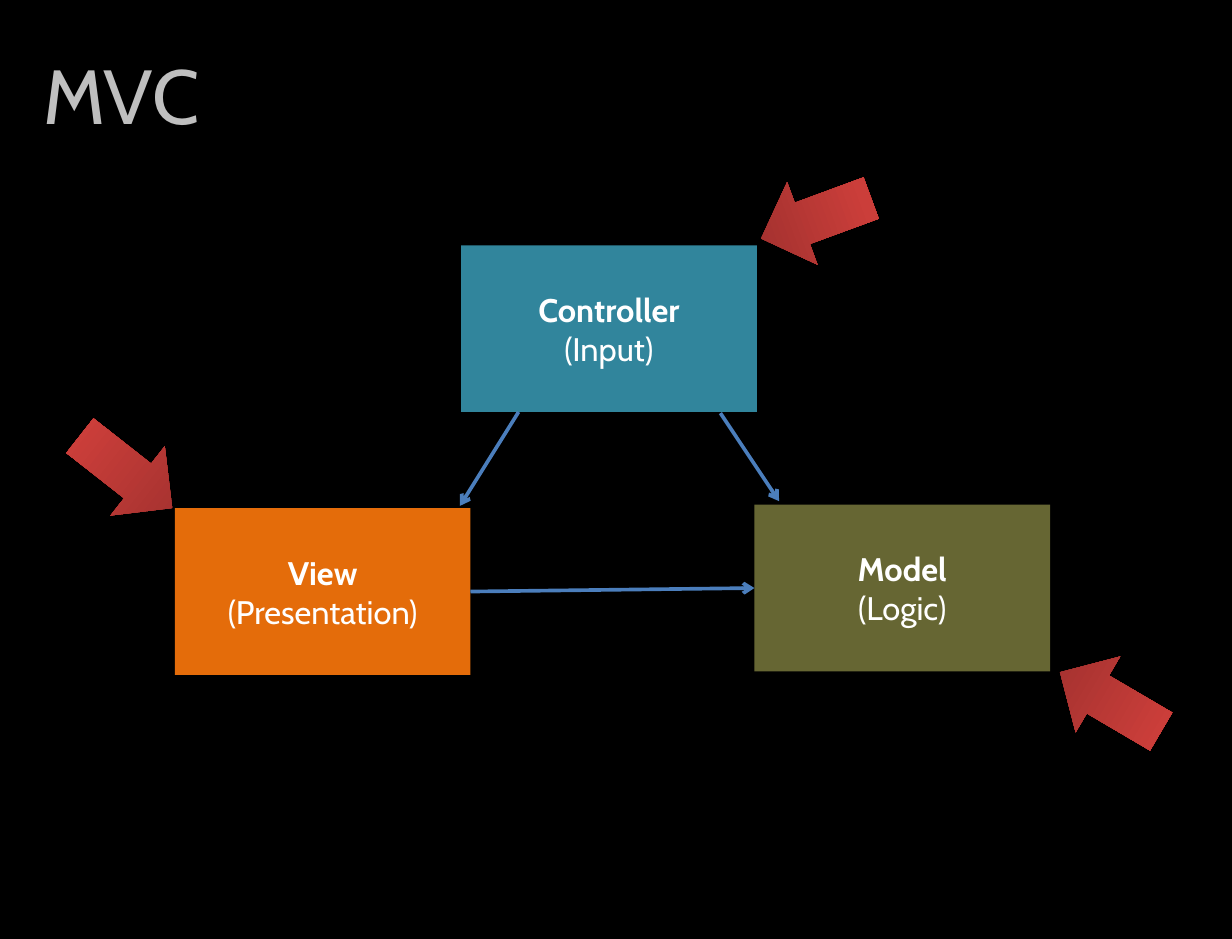
import dataclasses
import typing

import pptx
import pptx.dml.color
import pptx.enum.shapes
import pptx.enum.text
import pptx.oxml
import pptx.oxml.ns
import pptx.util
from pptx.util import Inches


@dataclasses.dataclass(frozen=True)
class Theme:
    font: str = "Cabin"
    background: str = "000000"
    title: str = "BFBFBF"
    label: str = "FFFFFF"
    controller: str = "31859C"
    model: str = "666633"
    view: str = "E46C0A"
    link: str = "4B7EBC"
    pointer_tip: str = "9C2F2D"
    pointer_tail: str = "CB3E3A"
    title_size: float = 47
    label_size: float = 20
    link_width: float = 2.25


class Component(typing.NamedTuple):
    name: str
    role: str
    left: float
    top: float
    color: str


class Link(typing.NamedTuple):
    start: tuple[float, float]
    end: tuple[float, float]


class Pointer(typing.NamedTuple):
    left: float
    top: float
    rotation: float


THEME = Theme()
BOX_WIDTH, BOX_HEIGHT = 2.52, 1.42
POINTER_WIDTH, POINTER_HEIGHT = 0.75, 1
RIGHT_SIDE, LEFT_SIDE = 3, 1

COMPONENTS = [
    Component("Controller", "(Input)", 3.93, 2.09, THEME.controller),
    Component("Model", "(Logic)", 6.43, 4.3, THEME.model),
    Component("View", "(Presentation)", 1.49, 4.33, THEME.view),
]
CONTROLLER_LINKS = [
    Link((6.14, 3.52), (6.64, 4.27)),
    Link((4.42, 3.51), (3.92, 4.31)),
]
VIEW_TO_MODEL = Link((4.01, 5.04), (6.43, 5.01))
POINTERS = [
    Pointer(6.58, 1.36, 69.8),
    Pointer(9.09, 5.48, 120.4),
    Pointer(0.7, 3.52, 308.1),
]


def rgb(value: str) -> pptx.dml.color.RGBColor:
    return pptx.dml.color.RGBColor.from_string(value)


def write(para, text: str, size: float, color: str, bold: bool = False) -> None:
    span = para.add_run()
    span.text = text
    formats = {"name": THEME.font, "size": pptx.util.Pt(size), "bold": bold}
    for attribute, value in formats.items():
        setattr(span.font, attribute, value)
    span.font.color.rgb = rgb(color)


def add_title(page, text: str) -> None:
    box = page.shapes.add_textbox(Inches(0.26), Inches(0.36), Inches(5.2), Inches(2.84))
    formats = {
        "word_wrap": True,
        "margin_left": Inches(0.11),
        "margin_right": Inches(0.11),
    }
    for attribute, value in formats.items():
        setattr(box.text_frame, attribute, value)
    write(box.text_frame.paragraphs[0], text, THEME.title_size, THEME.title)


def add_component(page, component: Component):
    box = page.shapes.add_shape(
        pptx.enum.shapes.MSO_SHAPE.RECTANGLE,
        Inches(component.left),
        Inches(component.top),
        Inches(BOX_WIDTH),
        Inches(BOX_HEIGHT),
    )
    box.shadow.inherit = False
    box.fill.solid()
    box.fill.fore_color.rgb = rgb(component.color)
    box.line.fill.background()
    frame = box.text_frame
    frame.word_wrap = True
    frame.vertical_anchor = pptx.enum.text.MSO_ANCHOR.MIDDLE
    for para, text, bold in (
        (frame.paragraphs[0], component.name, True),
        (frame.add_paragraph(), component.role, False),
    ):
        para.alignment = pptx.enum.text.PP_ALIGN.CENTER
        write(para, text, THEME.label_size, THEME.label, bold)
    return box


def add_link(page, link: Link):
    connector = page.shapes.add_connector(
        pptx.enum.shapes.MSO_CONNECTOR.STRAIGHT,
        *(Inches(value) for value in link.start + link.end),
    )
    connector.line.color.rgb = rgb(THEME.link)
    connector.line.width = pptx.util.Pt(THEME.link_width)
    namespace = pptx.oxml.ns.nsdecls("a")
    outline = connector.line._get_or_add_ln()
    outline.append(pptx.oxml.parse_xml(f'<a:tailEnd {namespace} type="arrow"/>'))
    outline.getparent().append(pptx.oxml.parse_xml(f"<a:effectLst {namespace}/>"))
    return connector


def add_pointer(page, pointer: Pointer) -> None:
    arrow = page.shapes.add_shape(
        pptx.enum.shapes.MSO_SHAPE.DOWN_ARROW,
        Inches(pointer.left),
        Inches(pointer.top),
        Inches(POINTER_WIDTH),
        Inches(POINTER_HEIGHT),
    )
    arrow.rotation = pointer.rotation
    arrow.shadow.inherit = False
    arrow.line.fill.background()
    arrow.fill.gradient()
    arrow.fill.gradient_angle = 90
    colors = ((0, THEME.pointer_tip), (0.8, THEME.pointer_tail))
    for stop, (position, color) in zip(arrow.fill.gradient_stops, colors):
        stop.position = position
        stop.color.rgb = rgb(color)


def main() -> None:
    deck = pptx.Presentation()
    deck.slide_width, deck.slide_height = Inches(10.5), Inches(8)
    page = deck.slides.add_slide(deck.slide_layouts[6])
    page.background.fill.solid()
    page.background.fill.fore_color.rgb = rgb(THEME.background)

    add_title(page, "MVC")
    boxes = {item.name: add_component(page, item) for item in COMPONENTS}
    for link in CONTROLLER_LINKS:
        add_link(page, link)
    connector = add_link(page, VIEW_TO_MODEL)
    connector.begin_connect(boxes["View"], RIGHT_SIDE)
    connector.end_connect(boxes["Model"], LEFT_SIDE)
    for pointer in POINTERS:
        add_pointer(page, pointer)

    deck.save("out.pptx")


if __name__ == "__main__":
    main()
